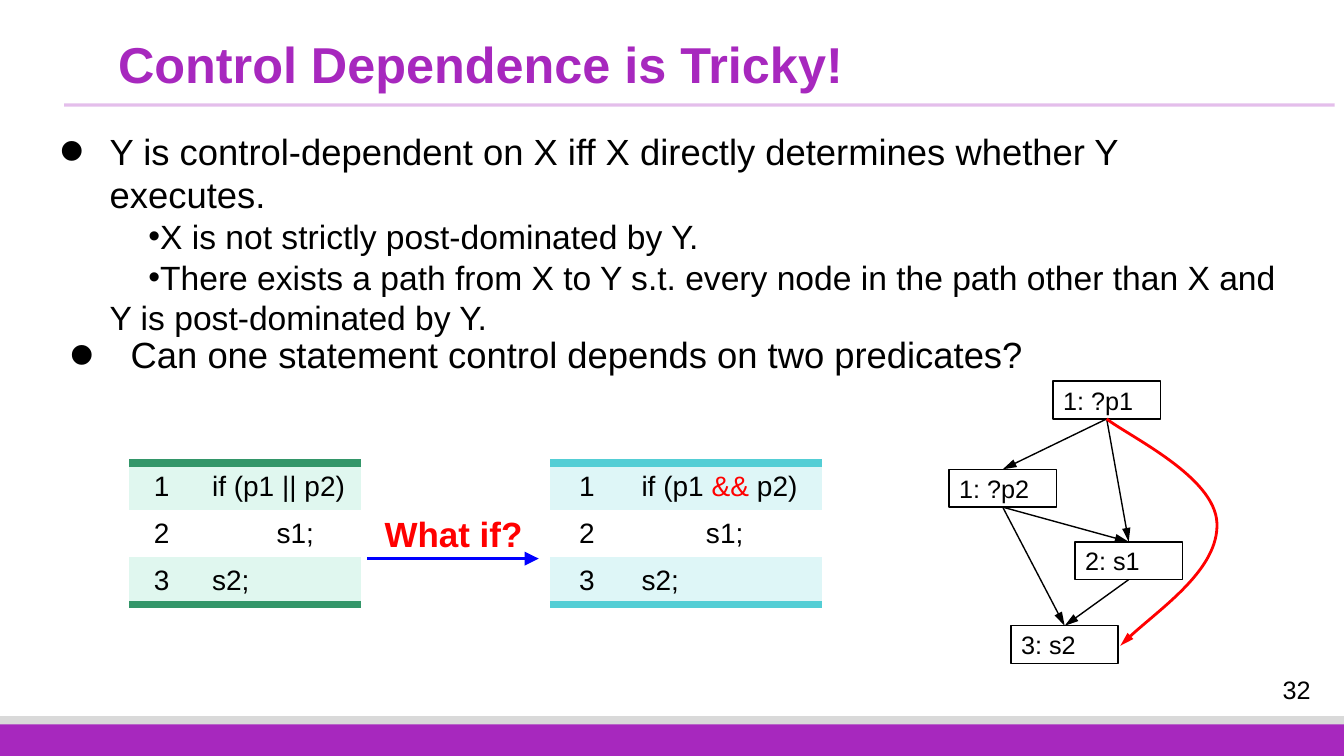
from lxml import etree
from pptx import Presentation
from pptx.dml.color import RGBColor
from pptx.enum.shapes import MSO_CONNECTOR, MSO_SHAPE
from pptx.enum.text import MSO_ANCHOR, PP_ALIGN
from pptx.oxml.ns import qn
from pptx.util import Emu, Pt

PX = 9525  # EMU in one px, 96 px to the inch
COLORS = {
    "purple": "A728BE", "gray": "D9D9D9", "black": "000000", "white": "FFFFFF",
    "red": "FF0000", "blue": "0000FF",
    "green": "339669", "pale green": "E0F7EF",
    "teal": "53CED5", "pale teal": "DEF6F7",
}
NO_TABLE_STYLE = "{2D5ABB26-0587-4C30-8999-92F81FD0307C}"
TOP, LEFT, BOTTOM, RIGHT = range(4)


def px(*lengths):
    return [Emu(length * PX) for length in lengths]


def rgb(color):
    return RGBColor.from_string(COLORS[color])


class SlideBuilder:
    font = "Arial"

    def __init__(self, slide):
        self.slide = slide
        self.shapes = slide.shapes

    def style(self, paragraph, size, color="black", bold=False, align=PP_ALIGN.LEFT):
        paragraph.alignment = align
        for run in paragraph.runs:
            run.font.name = self.font
            run.font.size = Pt(size)
            run.font.bold = bold
            run.font.color.rgb = rgb(color)

    def text(self, box, text, size, anchor=MSO_ANCHOR.TOP, **style):
        frame = self.shapes.add_textbox(*px(*box)).text_frame
        frame.word_wrap = True
        frame.vertical_anchor = anchor
        frame.text = text
        for paragraph in frame.paragraphs:
            self.style(paragraph, size, **style)
        return frame

    def bullet(self, paragraph, size, margin, indent, bullet_percent=100):
        props = paragraph._p.get_or_add_pPr()
        props.set("marL", str(margin * PX))
        props.set("indent", str(indent * PX))
        etree.SubElement(props, qn("a:buSzPct"), val=str(bullet_percent * 1000))
        etree.SubElement(props, qn("a:buFont"), typeface=self.font)
        etree.SubElement(props, qn("a:buChar"), char="•")
        self.style(paragraph, size)

    def bar(self, box, color):
        bar = self.shapes.add_shape(MSO_SHAPE.RECTANGLE, *px(*box))
        bar.shadow.inherit = False
        bar.fill.solid()
        bar.fill.fore_color.rgb = rgb(color)
        bar.line.fill.background()

    def node(self, box, label):
        node = self.shapes.add_shape(MSO_SHAPE.RECTANGLE, *px(*box))
        node.shadow.inherit = False
        node.fill.background()
        node.line.color.rgb = rgb("black")
        node.line.width = Pt(1)
        node.text_frame.text = label
        node.text_frame.vertical_anchor = MSO_ANCHOR.MIDDLE
        self.style(node.text_frame.paragraphs[0], 18)
        return node

    def stroke(self, item, color, width, arrow):
        """arrow is the width of the arrowhead (med or lg), or None."""
        item.line.color.rgb = rgb(color)
        item.line.width = Pt(width)
        if arrow:
            etree.SubElement(item.line._get_or_add_ln(), qn("a:tailEnd"),
                             type="triangle", w=arrow, len="lg")

    def line(self, start, end, color, width, arrow=None):
        line = self.shapes.add_connector(MSO_CONNECTOR.STRAIGHT, *px(*start, *end))
        self.stroke(line, color, width, arrow)
        etree.SubElement(line._element.spPr, qn("a:effectLst"))
        return line

    def edge(self, source, target):
        edge = self.line((0, 0), (0, 0), "black", 1, "med")
        edge.begin_connect(source, BOTTOM)
        edge.end_connect(target, TOP)

    def curve(self, start, points, color, width):
        """Draw cubic curves: every three points are two handles and an end."""
        builder = self.shapes.build_freeform(*start, scale=PX)
        builder.add_line_segments(points, close=False)
        curve = builder.convert_to_shape()
        curve.shadow.inherit = False
        curve.fill.background()
        self.stroke(curve, color, width, "med")
        outline = next(curve._element.iter(qn("a:path")))
        segments = outline.findall(qn("a:lnTo"))
        for i in range(0, len(segments), 3):
            cubic = etree.SubElement(outline, qn("a:cubicBezTo"))
            for segment in segments[i:i + 3]:
                cubic.append(segment[0])
                outline.remove(segment)

    def border(self, cell, side, color, width):
        line = etree.Element(qn(f"a:{side}"), w=str(Pt(width)))
        solid = etree.SubElement(line, qn("a:solidFill"))
        etree.SubElement(solid, qn("a:srgbClr"), val=COLORS[color])
        cell._tc.get_or_add_tcPr().insert(0, line)

    def code_table(self, corner, widths, row_height, rows, color):
        """Each row is a list of (text, color) pieces."""
        table = self.shapes.add_table(
            len(rows), 2, *px(*corner, sum(widths), row_height * len(rows))).table
        table.first_row = table.horz_banding = False
        table._tbl.tblPr.find(qn("a:tableStyleId")).text = NO_TABLE_STYLE
        for column, width in zip(table.columns, widths):
            column.width = Emu(width * PX)
        for i, pieces in enumerate(rows):
            number, code = table.cell(i, 0), table.cell(i, 1)
            number.text = str(i + 1)
            self.style(number.text_frame.paragraphs[0], 20, align=PP_ALIGN.CENTER)
            statement = code.text_frame.paragraphs[0]
            for piece, _ in pieces:
                statement.add_run().text = piece
            self.style(statement, 20)
            for run, (_, piece_color) in zip(statement.runs, pieces):
                run.font.color.rgb = rgb(piece_color)
            if i == 1:  # body of the if
                statement._p.get_or_add_pPr().set("indent", str(54 * PX))
            for cell in (number, code):
                cell.vertical_anchor = MSO_ANCHOR.MIDDLE
                cell.fill.solid()
                cell.fill.fore_color.rgb = rgb("white" if i % 2 else f"pale {color}")
                if i == 0:
                    self.border(cell, "lnT", color, 6)
                if i == len(rows) - 1:
                    self.border(cell, "lnB", color, 6)


def main():
    presentation = Presentation()
    presentation.slide_width, presentation.slide_height = px(1280, 720)
    page = SlideBuilder(presentation.slides.add_slide(presentation.slide_layouts[6]))

    # Footer, title rule and page number
    page.bar((0, 682, 1280, 38), "gray")
    page.bar((0, 690, 1280, 30), "purple")
    title_rule = page.line((61, 100), (1271, 100), "purple", 2.25)
    rule_color = next(title_rule._element.iter(qn("a:srgbClr")))
    etree.SubElement(rule_color, qn("a:alpha"), val="30000")
    page.text((1191, 638, 88, 37), "32", 18, MSO_ANCHOR.MIDDLE, align=PP_ALIGN.CENTER)

    # Title
    title = page.text((103, 33, 1092, 46), "Control Dependence is Tricky!", 36,
                      color="purple", bold=True)
    title.paragraphs[0].line_spacing = 0.9

    # Definition and question
    definition = page.text((47, 118, 1187, 160), "\n".join([
        "Y is control-dependent on X iff X directly determines whether Y executes.",
        "X is not strictly post-dominated by Y.",
        "There exists a path from X to Y s.t. every node in the path other than X and "
        "Y is post-dominated by Y."]), 24)
    rule, *conditions = definition.paragraphs
    page.bullet(rule, 26, 48, -48, 200)
    for condition in conditions:
        page.bullet(condition, 24, 48, 37)
    question = page.text((57, 312, 1040, 52),
                         "Can one statement control depends on two predicates?", 26)
    page.bullet(question.paragraphs[0], 26, 58, -58, 200)

    # Code before and after the change
    body, after = [("  s1;", "black")], [(" s2;", "black")]
    page.code_table((123, 441), (62, 159), 45,
                    [[(" if (p1 || p2)", "black")], body, after], "green")
    page.code_table((524, 441), (70, 189), 45,
                    [[(" if (p1 ", "black"), ("&&", "red"), (" p2)", "black")], body, after],
                    "teal")
    page.text((334, 483, 196, 50), "What if?", 25, color="red", bold=True,
              align=PP_ALIGN.CENTER)
    page.line((350, 532), (513, 532), "blue", 2, "lg")

    # Control flow graph
    p1, p2, s1, s2 = [page.node((x, y, 102, 36), label) for x, y, label in (
        (1003, 363, "1: ?p1"), (904, 447, "1: ?p2"),
        (1024, 516, "2: s1"), (963, 596, "3: s2"))]
    for source, target in ((p1, p2), (p1, s1), (p2, s1), (p2, s2), (s1, s2)):
        page.edge(source, target)
    page.curve((1054, 399), [(1076, 416), (1157, 454), (1159, 498),
                             (1161, 542), (1093, 588), (1067, 615)], "red", 2)

    presentation.save("out.pptx")


if __name__ == "__main__":
    main()
